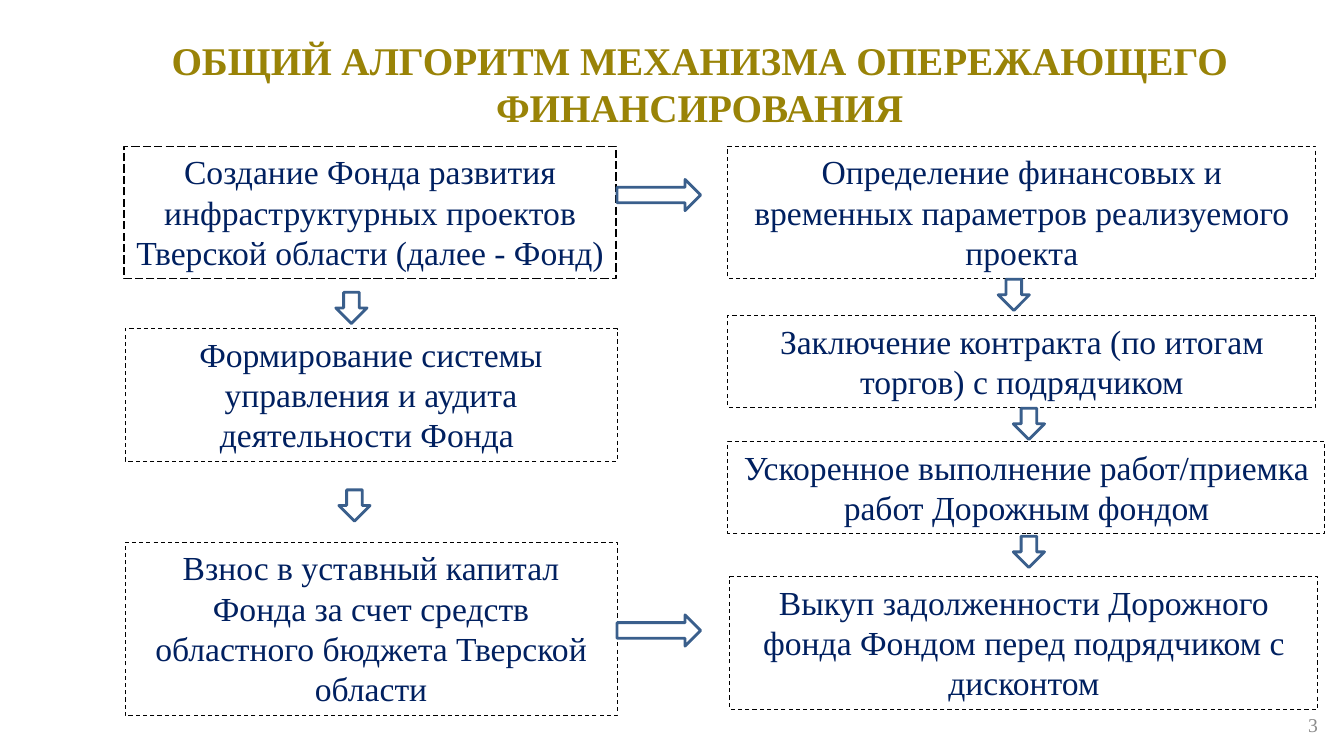
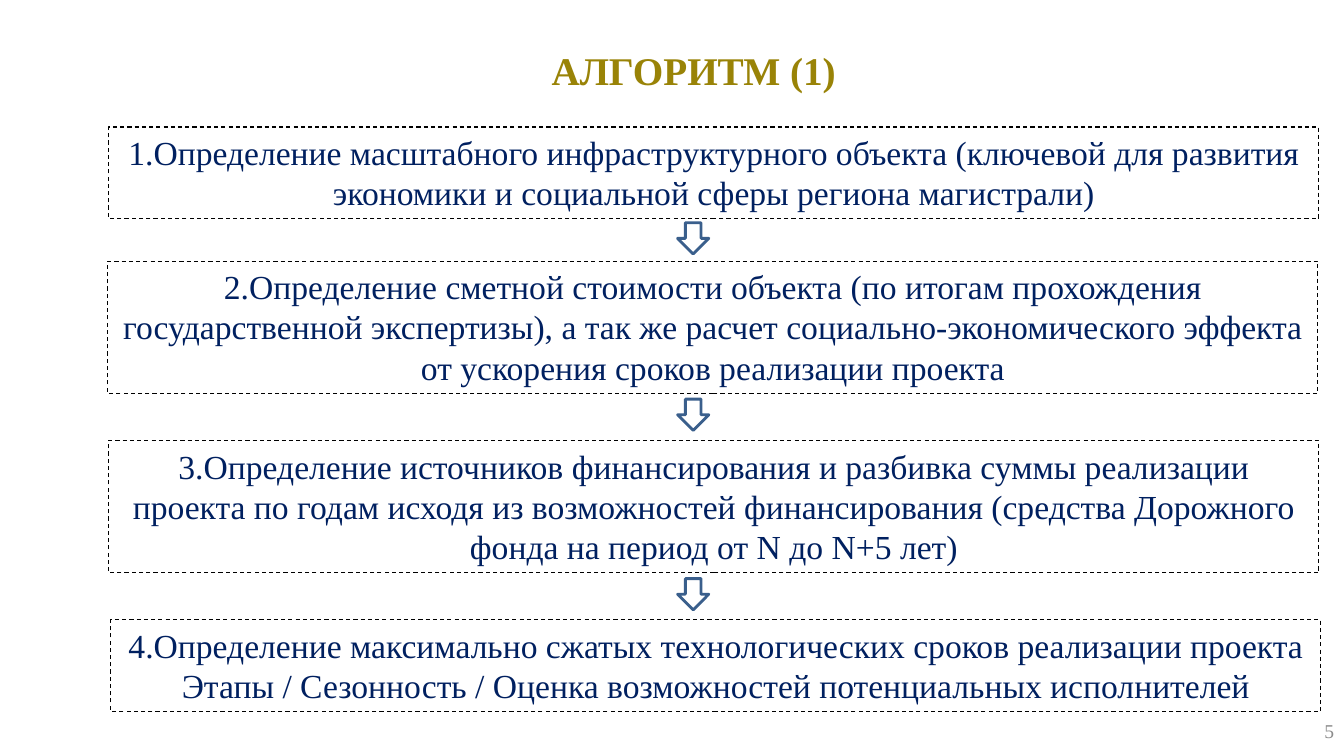
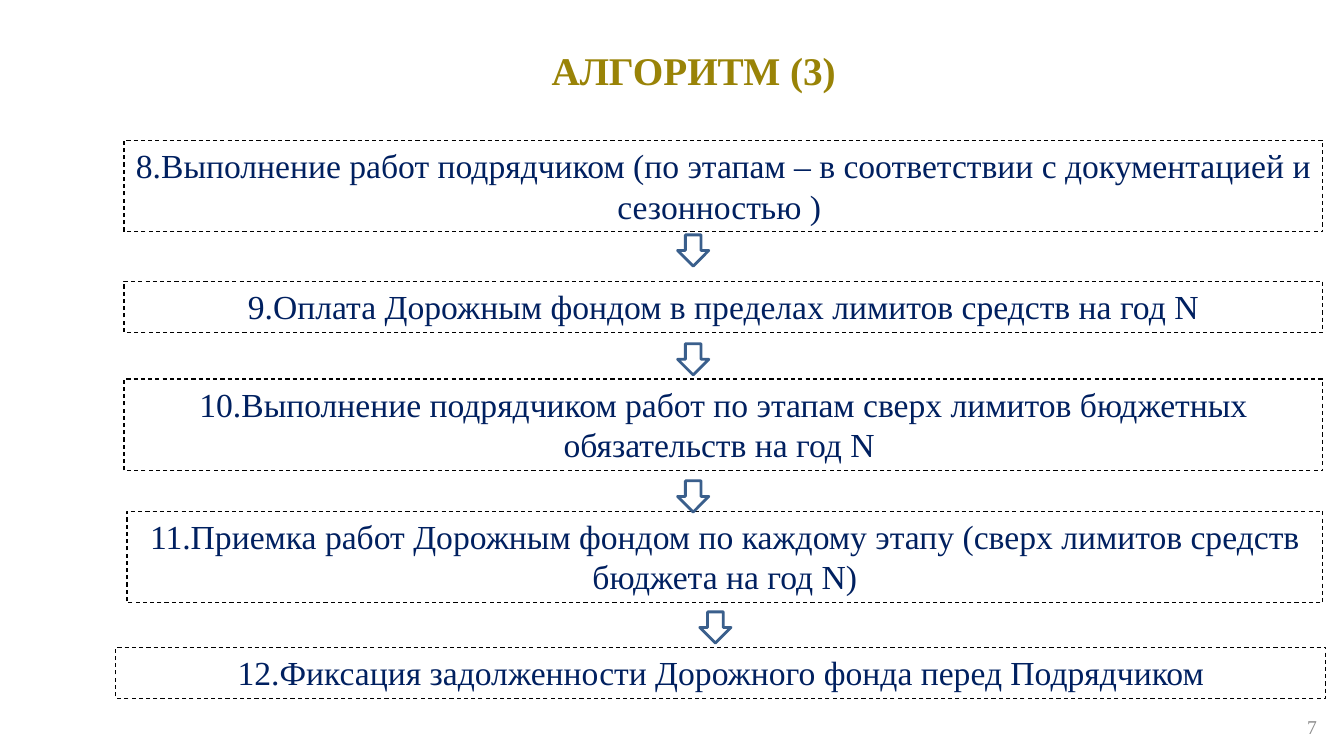
import pptx
import pptx.util
import pptx.dml.color
import pptx.enum.dml
import pptx.enum.shapes
import pptx.enum.text

Inches = pptx.util.Inches
Pt = pptx.util.Pt
Align = pptx.enum.text.PP_ALIGN
Anchor = pptx.enum.text.MSO_ANCHOR
Dash = pptx.enum.dml.MSO_LINE
Shape = pptx.enum.shapes.MSO_SHAPE

FONT = "Times New Roman"
GOLD, NAVY, GREY = "998307", "002060", "8C8C8C"
BLACK, WHITE, ARROW_BLUE = "000000", "FFFFFF", "3A5F8C"
ARROW = 0.31
LINE_HEIGHT = 0.405


def colour(hex_string):
    return pptx.dml.color.RGBColor.from_string(hex_string)


def write(shape, lines, size, hex_string, align=Align.CENTER, anchor=Anchor.TOP, bold=False):
    """Fill a shape with one paragraph per line of text."""
    frame = shape.text_frame
    frame.word_wrap = True
    frame.vertical_anchor = anchor
    for index, line in enumerate(lines):
        para = frame.add_paragraph() if index else frame.paragraphs[0]
        para.alignment = align
        span = para.add_run()
        span.text = line
        span.font.name = FONT
        span.font.size = Pt(size)
        span.font.bold = bold
        span.font.color.rgb = colour(hex_string)


# title and number: left, top (and width); boxes: left, top, width, rows, dash, lines;
# arrows: left, top, width, rotation
COLUMN, WIDE, FULL = 4.88, 5.83, 12
STEP = 11.89
slides = [
    {
        "title": (0.68, 0.31, 12.52, "ОБЩИЙ АЛГОРИТМ МЕХАНИЗМА ОПЕРЕЖАЮЩЕГО ФИНАНСИРОВАНИЯ"),
        "number": (10.06, 6.99, "3"),
        "boxes": [
            (1.23, 1.45, COLUMN, 3, Dash.LONG_DASH,
             ["Создание Фонда развития инфраструктурных проектов Тверской области (далее - Фонд)"]),
            (1.24, 3.26, COLUMN, 3, Dash.DASH,
             ["Формирование системы управления и аудита деятельности Фонда "]),
            (1.24, 5.38, COLUMN, 4, Dash.DASH,
             ["Взнос в уставный капитал Фонда за счет средств областного бюджета Тверской области"]),
            (7.22, 1.45, WIDE, 3, Dash.DASH,
             ["Определение финансовых и временных параметров реализуемого проекта"]),
            (7.22, 3.13, WIDE, 2, Dash.DASH,
             ["Заключение контракта (по итогам торгов) с подрядчиком"]),
            (7.22, 4.38, 5.92, 2, Dash.DASH,
             ["Ускоренное выполнение работ/приемка работ Дорожным фондом"]),
            (7.24, 5.72, WIDE, 3, Dash.DASH,
             ["Выкуп задолженности Дорожного фонда Фондом перед подрядчиком с дисконтом"]),
        ],
        "arrows": [
            (6.12, 1.78, 0.83, 0), (6.12, 6.1, 0.83, 0),
            (3.33, 2.9, ARROW, 90), (3.36, 4.86, ARROW, 90),
            (9.9, 2.77, ARROW, 90), (10.05, 4.05, ARROW, 90), (10.05, 5.32, ARROW, 90),
        ],
    },
    {
        "title": (1.35, 0.41, 11.06, "АЛГОРИТМ (1)"),
        "number": (10.22, 7.05, "5"),
        "boxes": [
            (1.08, 1.26, FULL, 2, Dash.DASH,
             ["1.Определение масштабного инфраструктурного объекта (ключевой для развития "
              "экономики и социальной сферы региона магистрали)"]),
            (1.07, 2.59, FULL, 3, Dash.DASH,
             ["2.Определение сметной стоимости объекта (по итогам прохождения государственной "
              "экспертизы), а так же расчет социально-экономического эффекта от ускорения "
              "сроков реализации проекта"]),
            (1.08, 4.37, FULL, 3, Dash.DASH,
             ["3.Определение источников финансирования и разбивка суммы реализации проекта "
              "по годам исходя из возможностей финансирования (средства Дорожного фонда "
              "на период от N до N+5 лет)"]),
            (1.1, 6.15, FULL, 2, Dash.DASH,
             ["4.Определение максимально сжатых технологических сроков реализации проекта",
              "Этапы / Сезонность / Оценка возможностей потенциальных исполнителей"]),
        ],
        "arrows": [(6.72, top, ARROW, 90) for top in (2.21, 3.96, 5.74)],
    },
    {
        "title": (1.35, 0.41, 11.06, "АЛГОРИТМ (3)"),
        "number": (10.05, 7.01, "7"),
        "boxes": [
            (1.23, 1.39, STEP, 2, Dash.DASH,
             ["8.Выполнение работ подрядчиком (по этапам – в соответствии с документацией "
              "и сезонностью ) "]),
            (1.23, 2.79, STEP, 1, Dash.DASH,
             ["9.Оплата Дорожным фондом в пределах лимитов средств на год N"]),
            (1.23, 3.76, STEP, 2, Dash.DASH,
             ["10.Выполнение подрядчиком работ по этапам сверх лимитов бюджетных "
              "обязательств на год N "]),
            (1.26, 5.07, 11.86, 2, Dash.DASH,
             ["11.Приемка работ Дорожным фондом по каждому этапу (сверх лимитов средств "
              "бюджета на год N)"]),
            (1.15, 6.42, FULL, 1, Dash.DASH,
             ["12.Фиксация задолженности Дорожного фонда перед Подрядчиком"]),
        ],
        "arrows": [(6.72, 2.33, ARROW, 90), (6.72, 3.41, ARROW, 90),
                   (6.72, 4.77, ARROW, 90), (6.94, 6.07, ARROW, 90)],
    },
]

deck = pptx.Presentation()
deck.slide_width = Inches(13.33)
deck.slide_height = Inches(7.5)

for content in slides:
    page = deck.slides.add_slide(deck.slide_layouts[6])

    left, top, width, text = content["title"]
    title = page.shapes.add_textbox(Inches(left), Inches(top), Inches(width), Inches(0.57))
    write(title, [text], 28, GOLD, bold=True)

    left, top, text = content["number"]
    number = page.shapes.add_textbox(Inches(left), Inches(top), Inches(3.11), Inches(0.4))
    write(number, [text], 14, GREY, align=Align.RIGHT, anchor=Anchor.MIDDLE)

    for left, top, width, rows, dash, lines in content["boxes"]:
        height = 0.1 + rows * LINE_HEIGHT
        box = page.shapes.add_shape(
            Shape.RECTANGLE, Inches(left), Inches(top), Inches(width), Inches(height))
        box.shadow.inherit = False
        box.fill.background()
        box.line.color.rgb = colour(BLACK)
        box.line.width = Pt(0.75)
        box.line.dash_style = dash
        write(box, lines, 24, NAVY)
        box.text_frame.auto_size = pptx.enum.text.MSO_AUTO_SIZE.SHAPE_TO_FIT_TEXT

    for left, top, width, rotation in content["arrows"]:
        arrow = page.shapes.add_shape(
            Shape.RIGHT_ARROW, Inches(left), Inches(top), Inches(width), Inches(ARROW))
        arrow.rotation = rotation
        arrow.shadow.inherit = False
        arrow.fill.solid()
        arrow.fill.fore_color.rgb = colour(WHITE)
        arrow.line.color.rgb = colour(ARROW_BLUE)
        arrow.line.width = Pt(2)

deck.save("out.pptx")
